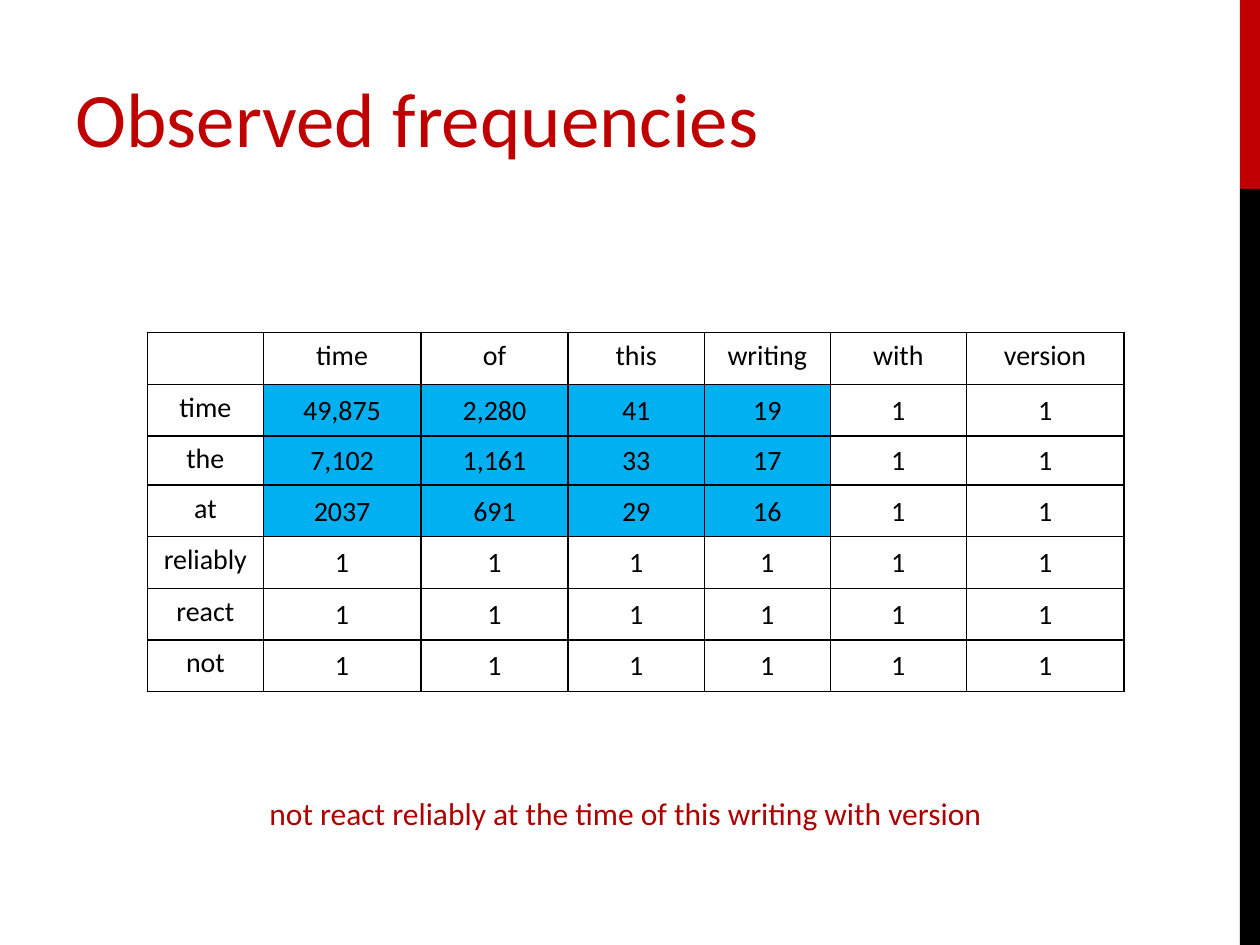
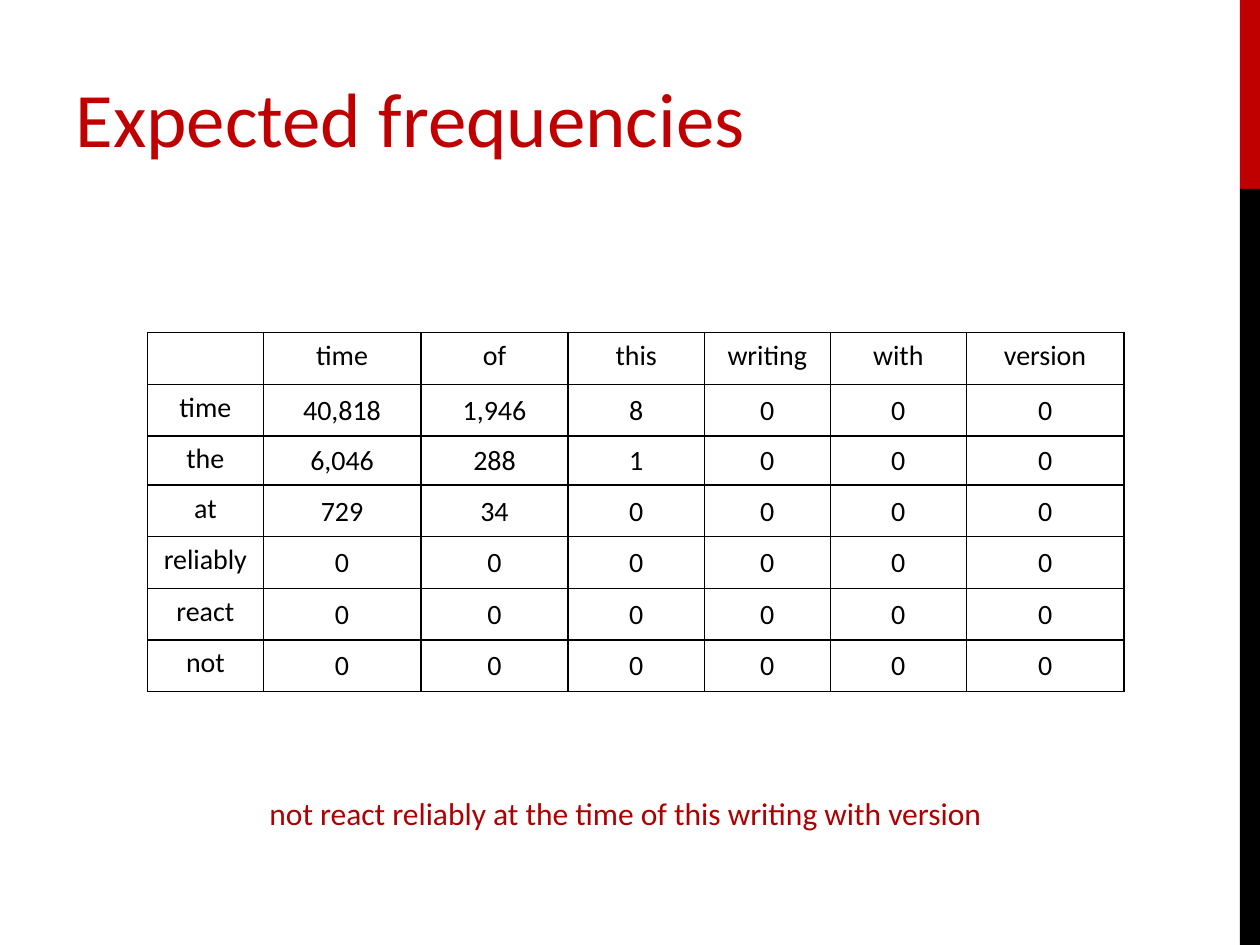
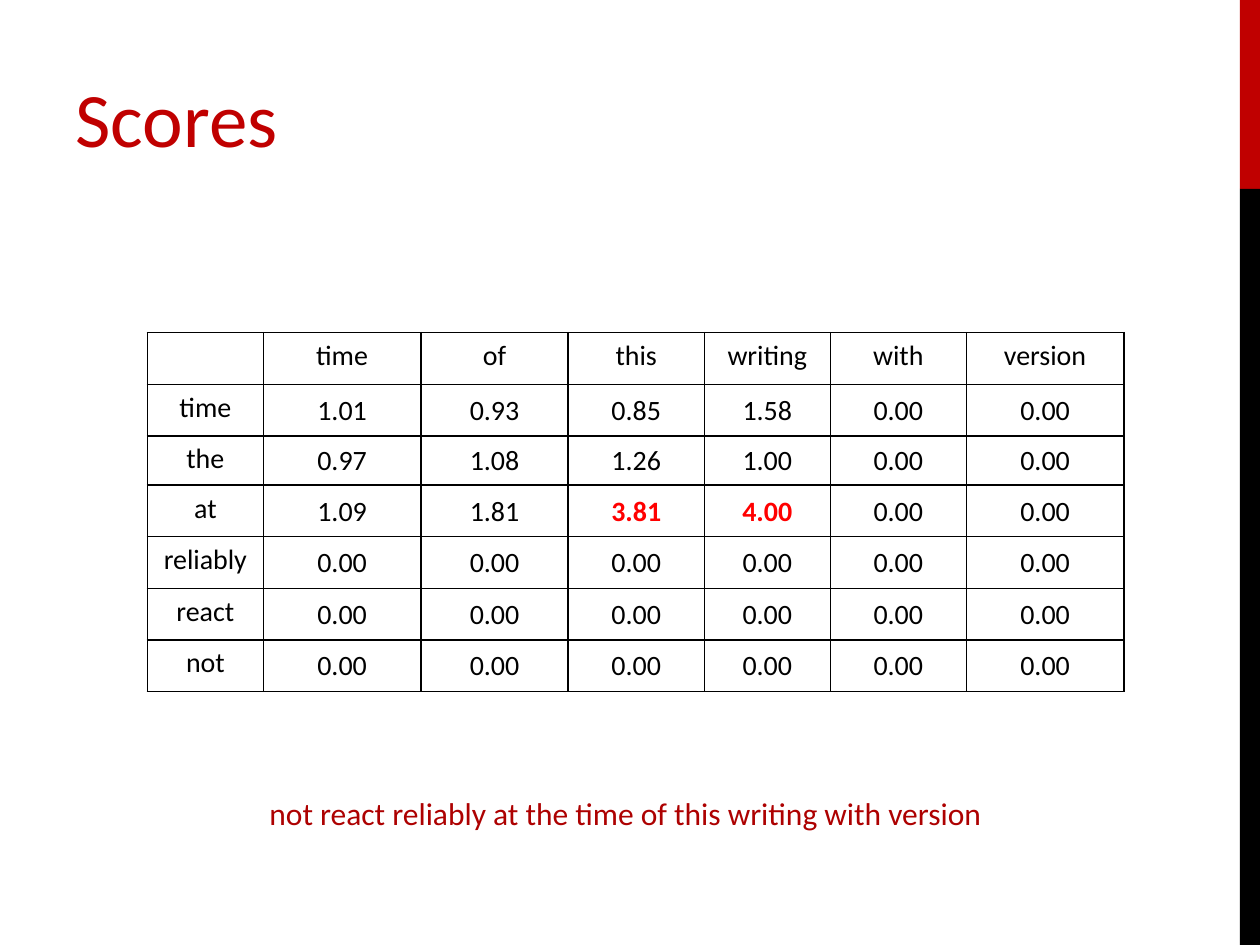
from lxml.etree import SubElement
from pptx import Presentation
from pptx.dml.color import RGBColor
from pptx.enum.shapes import MSO_SHAPE as Shape
from pptx.enum.text import MSO_ANCHOR as Anchor, MSO_AUTO_SIZE as AutoSize, PP_ALIGN as Align
from pptx.oxml.ns import qn
from pptx.util import Inches, Pt

COLORS = {
    "title": "C00000",
    "black": "000000",
    "sentence": "AD0101",
    "observed": "00B0F0",
    "strong": "FF0000",
}
FONT = "Calibri"
SENTENCE = "not react reliably at the time of this writing with version"
FOLLOWING_WORDS = ["time", "of", "this", "writing", "with", "version"]
PRECEDING_WORDS = ["time", "the", "at", "reliably", "react", "not"]
COLUMN_WIDTHS = [0.92, 1.25, 1.17, 1.08, 1, 1.08, 1.25]
ROW_HEIGHTS = [0.41, 0.41, 0.39, 0.41, 0.41, 0.41, 0.41]

OBSERVED = [
    ["49,875", "2,280", "41", "19", "1", "1"],
    ["7,102", "1,161", "33", "17", "1", "1"],
    ["2037", "691", "29", "16", "1", "1"],
] + [["1"] * 6] * 3
EXPECTED = [
    ["40,818", "1,946", "8", "0", "0", "0"],
    ["6,046", "288", "1", "0", "0", "0"],
    ["729", "34", "0", "0", "0", "0"],
] + [["0"] * 6] * 3
SCORES = [
    ["1.01", "0.93", "0.85", "1.58", "0.00", "0.00"],
    ["0.97", "1.08", "1.26", "1.00", "0.00", "0.00"],
    ["1.09", "1.81", "3.81", "4.00", "0.00", "0.00"],
] + [["0.00"] * 6] * 3

OBSERVED_CELLS = {(row, column) for row in range(1, 4) for column in range(1, 5)}
STRONG_CELLS = {(3, 3), (3, 4)}


def color(name):
    return RGBColor.from_string(COLORS[name])


def format_paragraph(paragraph, size, color_name, align=Align.LEFT, bold=False):
    paragraph.alignment = align
    font = paragraph.font
    font.name = FONT
    font.size = Pt(size)
    font.bold = bold
    font.color.rgb = color(color_name)


def add_band(slide, top, height, color_name):
    band = slide.shapes.add_shape(
        Shape.RECTANGLE, Inches(9.84), Inches(top), Inches(0.16), Inches(height))
    band.shadow.inherit = False
    band.fill.solid()
    band.fill.fore_color.rgb = color(color_name)
    band.line.fill.background()


def set_title(slide, text):
    title = slide.shapes.title
    title.left, title.top = Inches(0.5), Inches(0.3)
    title.width, title.height = Inches(7.96), Inches(1.25)
    title.text_frame.text = text
    title.text_frame.vertical_anchor = Anchor.MIDDLE
    format_paragraph(title.text_frame.paragraphs[0], 44, "title")


def add_borders(cell):
    properties = cell._tc.get_or_add_tcPr()
    for side in ("a:lnL", "a:lnR", "a:lnT", "a:lnB"):
        line = SubElement(properties, qn(side), w=str(Pt(1)))
        fill = SubElement(line, qn("a:solidFill"))
        SubElement(fill, qn("a:srgbClr"), val=COLORS["black"])


def format_cell(cell, text, is_value, is_observed, is_strong):
    cell.text = text
    format_paragraph(cell.text_frame.paragraphs[0], 16,
                     "strong" if is_strong else "black", Align.CENTER, is_strong)
    if is_value:
        cell.vertical_anchor = Anchor.MIDDLE
        cell.margin_left = cell.margin_top = cell.margin_right = Inches(0.01)
        cell.margin_bottom = 0
    add_borders(cell)
    if is_observed:
        cell.fill.solid()
        cell.fill.fore_color.rgb = color("observed")
    else:
        cell.fill.background()


def add_word_table(slide, values, observed_cells, strong_cells):
    rows = [[""] + FOLLOWING_WORDS]
    rows += [[word] + row for word, row in zip(PRECEDING_WORDS, values)]
    table = slide.shapes.add_table(
        len(rows), len(rows[0]), Inches(1.17), Inches(2.64),
        Inches(sum(COLUMN_WIDTHS)), Inches(sum(ROW_HEIGHTS))).table
    table.first_row = table.horz_banding = False
    for column, width in zip(table.columns, COLUMN_WIDTHS):
        column.width = Inches(width)
    for row, height in zip(table.rows, ROW_HEIGHTS):
        row.height = Inches(height)
    for row_index, row in enumerate(rows):
        for column_index, text in enumerate(row):
            position = (row_index, column_index)
            format_cell(table.cell(*position), text, all(position),
                        position in observed_cells, position in strong_cells)


def add_sentence(slide):
    box = slide.shapes.add_textbox(Inches(2.04), Inches(6.25), Inches(6), Inches(0.4))
    frame = box.text_frame
    frame.word_wrap = True
    frame.auto_size = AutoSize.SHAPE_TO_FIT_TEXT
    frame.text = SENTENCE
    format_paragraph(frame.paragraphs[0], 18, "sentence")


def add_table_slide(presentation, title, values, observed_cells=(), strong_cells=()):
    slide = presentation.slides.add_slide(presentation.slide_layouts[5])
    add_band(slide, 0, 1.5, "title")
    add_band(slide, 1.5, 6, "black")
    set_title(slide, title)
    add_word_table(slide, values, observed_cells, strong_cells)
    add_sentence(slide)


def main():
    presentation = Presentation()
    presentation.slide_width, presentation.slide_height = Inches(10), Inches(7.5)
    add_table_slide(presentation, "Observed frequencies", OBSERVED,
                    observed_cells=OBSERVED_CELLS)
    add_table_slide(presentation, "Expected frequencies", EXPECTED)
    add_table_slide(presentation, "Scores", SCORES, strong_cells=STRONG_CELLS)
    presentation.save("out.pptx")


if __name__ == "__main__":
    main()
